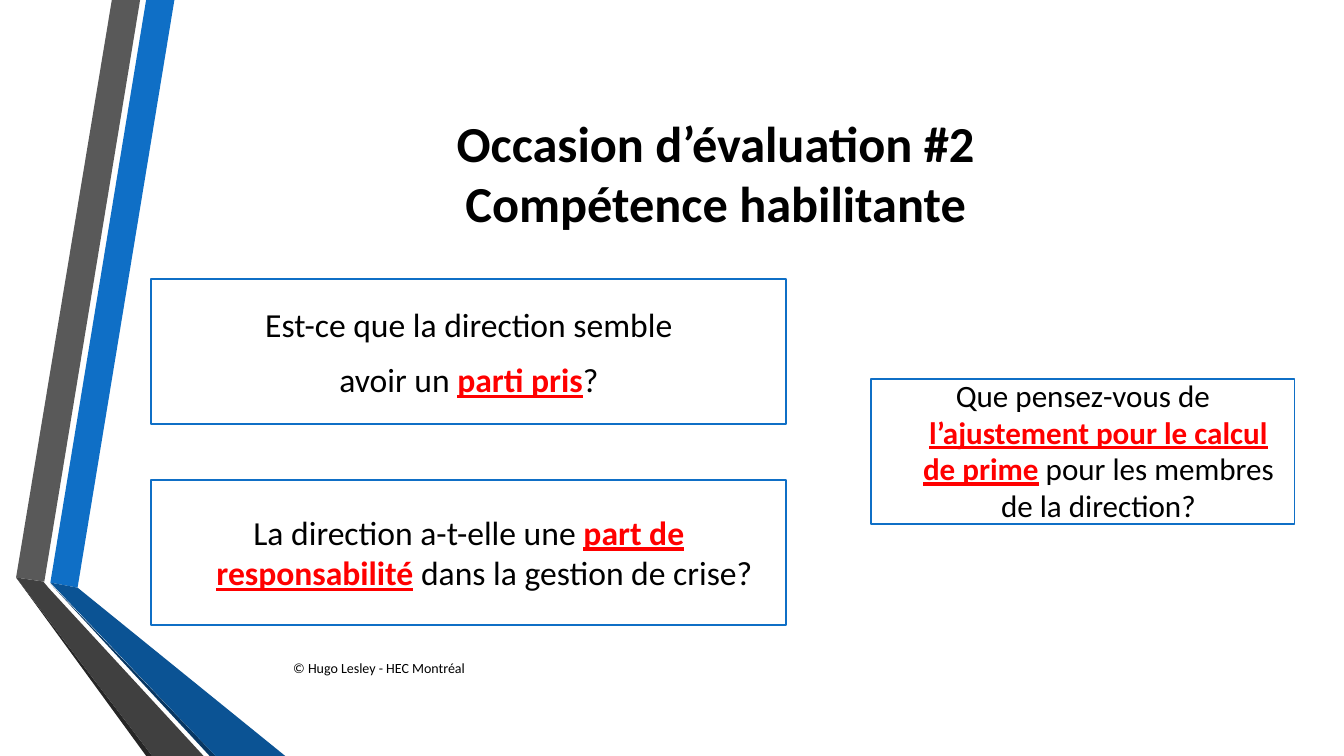
from pptx import Presentation
from pptx import util as u
from pptx.dml import color
from pptx.enum import shapes, text

FONT = "Calibri"
BLACK, WHITE, RED, BLUE = "000000", "FFFFFF", "FF0000", "0F6FC6"
INDENT = u.Inches(0.31)
RIBBONS = [
    (BLUE, [(0.5, 5.78), (0.77, 5.83), (1.73, 0), (1.45, 0)]),
    ("595959", [(1.39, 0), (1.11, 0), (0.16, 5.73), (0.44, 5.77)]),
    ("262626", [(0.16, 5.73), (1.45, 7.5), (1.51, 7.5)]),
    ("083763", [(0.5, 5.79), (2.08, 7.5), (2.14, 7.5)]),
    ("0B5394", [(0.5, 5.78), (2.14, 7.5), (2.83, 7.5), (0.77, 5.83)]),
    ("404040", [(2.02, 7.5), (0.48, 5.83), (0.43, 5.77), (0.16, 5.73), (1.51, 7.5)]),
]


def rgb(value):
    return color.RGBColor.from_string(value)


def paint(shape, fill, line=None):
    shape.shadow.inherit = False
    shape.fill.solid()
    shape.fill.fore_color.rgb = rgb(fill)
    if line:
        shape.line.color.rgb = rgb(line)
        shape.line.width = u.Pt(1.25)
    else:
        shape.line.fill.background()


def write(frame, paragraphs, size, align=text.PP_ALIGN.LEFT, bold=False,
          hanging=False, spacing=None, gap=0):
    frame.word_wrap = True
    frame.vertical_anchor = text.MSO_ANCHOR.MIDDLE
    for index, content in enumerate(paragraphs):
        paragraph = frame.add_paragraph() if index else frame.paragraphs[0]
        paragraph.alignment = align
        paragraph.space_before = u.Pt(gap * 0.8 if index else 0)
        paragraph.space_after = u.Pt(gap)
        if spacing:
            paragraph.line_spacing = spacing
        if hanging:
            properties = paragraph._p.get_or_add_pPr()
            properties.set("marL", str(INDENT))
            properties.set("indent", str(-INDENT))
        for part, words in enumerate(content.split("*")):
            key_words = part % 2 == 1
            for row, line in enumerate(words.split("\n")):
                if row:
                    paragraph.add_line_break()
                if not line:
                    continue
                run = paragraph.add_run()
                run.text = line
                run.font.name = FONT
                run.font.size = u.Pt(size)
                run.font.bold = bold or key_words
                run.font.underline = key_words
                run.font.color.rgb = rgb(RED if key_words else BLACK)


def ribbons(slide, left, top):
    for fill, outline in RIBBONS:
        points = [(u.Inches(left + x), u.Inches(top + y)) for x, y in outline]
        builder = slide.shapes.build_freeform(*points[0])
        builder.add_line_segments(points[1:], close=True)
        paint(builder.convert_to_shape(), fill)


def label(slide, box, content, size, **style):
    caption = slide.shapes.add_textbox(*map(u.Inches, box))
    write(caption.text_frame, [content], size, **style)


def question(slide, box, paragraphs, size=24, spacing=None):
    card = slide.shapes.add_shape(shapes.MSO_SHAPE.RECTANGLE, *map(u.Inches, box))
    paint(card, WHITE, BLUE)
    write(card.text_frame, paragraphs, size, align=text.PP_ALIGN.CENTER,
          hanging=True, spacing=spacing, gap=6)


def main():
    deck = Presentation()
    deck.slide_width, deck.slide_height = u.Inches(13.33), u.Inches(7.5)
    slide = deck.slides.add_slide(deck.slide_layouts[6])
    ribbons(slide, 0, 0)
    label(slide, (1.62, 0.75, 10.96, 1.92),
          "Occasion d’évaluation #2\nCompétence habilitante",
          36, align=text.PP_ALIGN.CENTER, bold=True)
    question(slide, (1.5, 2.77, 6.3, 1.44),
             ["Est-ce que la direction semble", "avoir un *parti pris*?"])
    question(slide, (1.5, 4.76, 6.3, 1.44),
             ["La direction a-t-elle une *part de responsabilité* dans la gestion de crise?"])
    question(slide, (8.64, 3.76, 4.2, 1.44),
             ["Que pensez-vous de *l’ajustement pour le calcul de prime* "
              "pour les membres de la direction?"], size=22.2, spacing=0.98)
    label(slide, (2.81, 6.43, 7.75, 0.4), "© Hugo Lesley - HEC Montréal", 10)
    deck.save("out.pptx")


if __name__ == "__main__":
    main()
